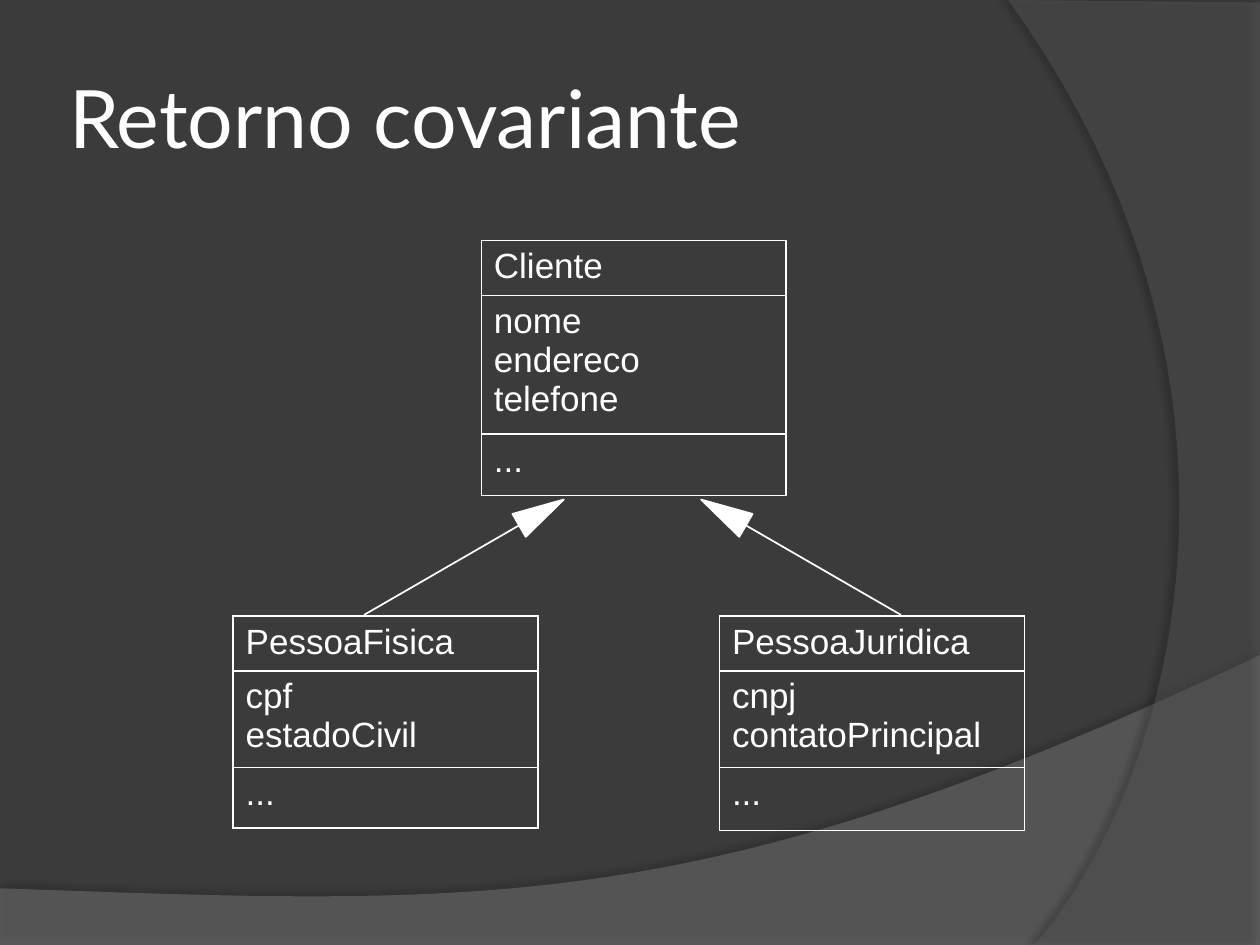
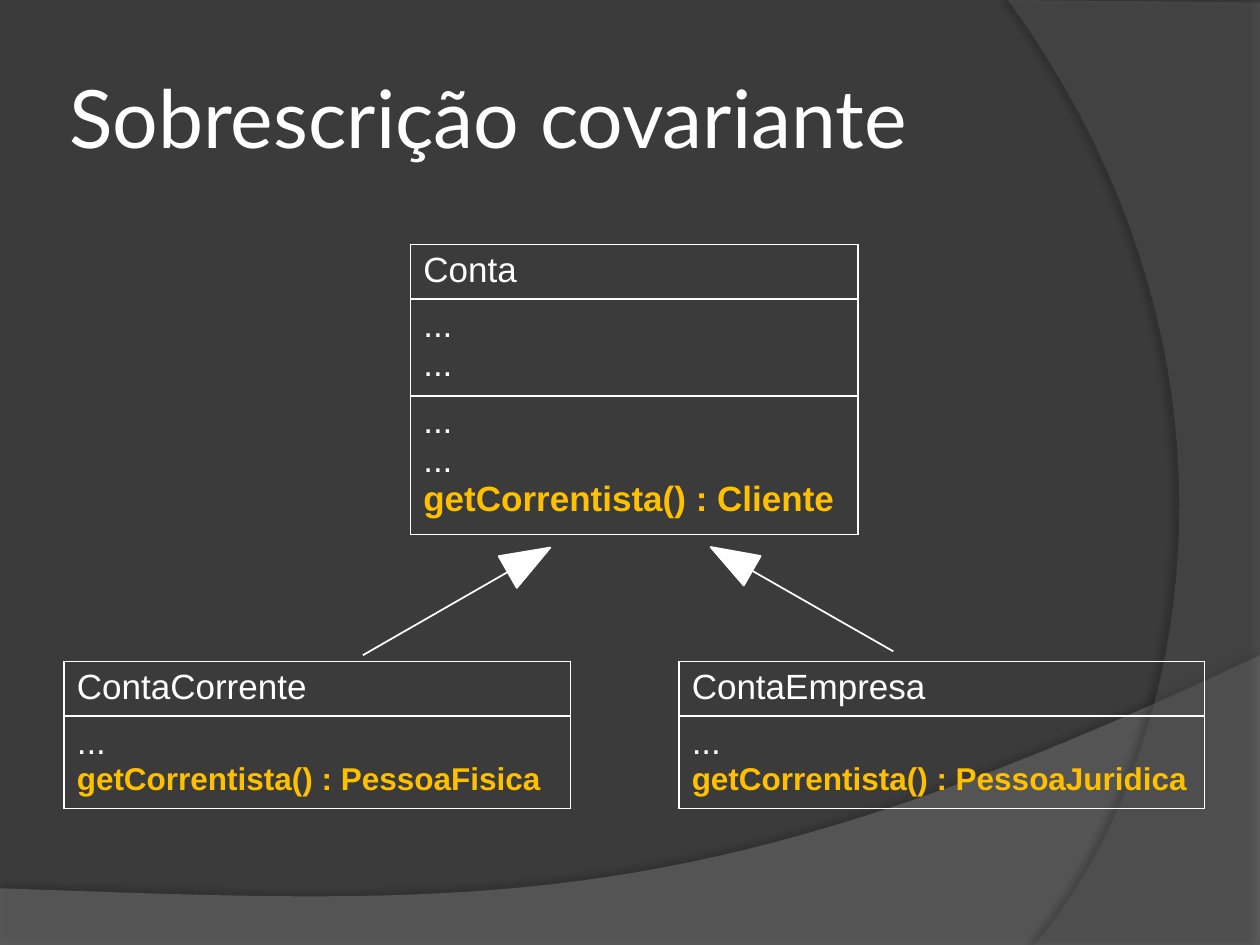
from math import atan2, cos, degrees, sin

from lxml.etree import SubElement
from pptx import Presentation
from pptx.dml.color import RGBColor
from pptx.enum.shapes import MSO_CONNECTOR, MSO_SHAPE
from pptx.enum.text import MSO_ANCHOR
from pptx.oxml import parse_xml
from pptx.oxml.ns import nsdecls, qn
from pptx.util import Inches, Pt

BACKGROUND, WHITE, GOLD = "3B3B3B", "FFFFFF", "FFC000"
BOTTOM_BAND, SIDE_BAND = "7F7F7F", "5E5E5E"
HEADER_HEIGHT = 0.41


def rgb(value):
    """Return the colour for a hex string."""
    return RGBColor.from_string(value)


def add_run(p, text, size, font, color=WHITE, bold=False):
    """Add one formatted run to a paragraph."""
    r = p.add_run()
    r.text = text
    r.font.size = Pt(size)
    r.font.name = font
    r.font.bold = bold
    r.font.color.rgb = rgb(color)


def curve(start, c1, c2, end, steps=40):
    """Return points along a cubic curve, without its start."""
    points = []
    for i in range(1, steps + 1):
        t = i / steps
        u = 1 - t
        weights = (u**3, 3 * u * u * t, 3 * u * t * t, t**3)
        points.append(tuple(
            sum(w * pt[axis] for w, pt in zip(weights, (start, c1, c2, end)))
            for axis in (0, 1)))
    return points


def add_band(s, points, color, alpha, shadow_alpha, distance, direction):
    """Draw a translucent curved band with a soft shadow."""
    emu = [(Inches(x), Inches(y)) for x, y in points]
    builder = s.shapes.build_freeform(*emu[0])
    builder.add_line_segments(emu[1:], close=True)
    sp = builder.convert_to_shape()
    sp.fill.solid()
    sp.fill.fore_color.rgb = rgb(color)
    sp.line.fill.background()
    fill_color = sp.fill._xPr.find(qn("a:solidFill"))[0]
    SubElement(fill_color, qn("a:alpha"), val=str(alpha * 1000))
    sp._element.spPr.append(parse_xml(
        f'<a:effectLst {nsdecls("a")}><a:outerShdw blurRad="{Pt(4)}" '
        f'dist="{Pt(distance)}" dir="{direction * 60000}" rotWithShape="0">'
        f'<a:srgbClr val="000000"><a:alpha val="{shadow_alpha * 1000}"/>'
        '</a:srgbClr></a:outerShdw></a:effectLst>'))


def add_slide(prs, title):
    """Add a slide with the shared bands and title."""
    s = prs.slides.add_slide(prs.slide_layouts[6])
    bottom = [(0, 7.05), (0, 7.5), (10, 7.5), (10, 5.2)]
    bottom += curve((10, 5.2), (5.59, 7.29), (3.91, 7.19), (0, 7.05))
    side = [(10, 0.02), (10, 7.5), (8.21, 7.5)]
    side += curve((8.21, 7.5), (9.35, 6.19), (10.18, 3), (8, 0))
    add_band(s, bottom, BOTTOM_BAND, 45, 35, 3.5, 270)
    add_band(s, side, SIDE_BAND, 40, 45, 4, 180)
    box = s.shapes.add_textbox(Inches(0.5), Inches(0.3), Inches(8.17), Inches(1.25))
    tf = box.text_frame
    tf.word_wrap = True
    tf.vertical_anchor = MSO_ANCHOR.MIDDLE
    tf.margin_left = tf.margin_right = tf.margin_top = tf.margin_bottom = Inches(0.05)
    add_run(tf.paragraphs[0], title, 46, "Lato")
    return s


def outline_cell(cell):
    """Clear a cell's fill and give it white borders."""
    cell.fill.background()
    tc_pr = cell._tc.get_or_add_tcPr()
    for i, side in enumerate("LRTB"):
        tc_pr.insert(i, parse_xml(
            f'<a:ln{side} {nsdecls("a")} w="{Pt(1)}"><a:solidFill>'
            f'<a:srgbClr val="{WHITE}"/></a:solidFill></a:ln{side}>'))


def add_class(s, left, top, width, name, *sections, method_size=20):
    """Draw a class table; each section is a height and its lines."""
    rows = [(HEADER_HEIGHT, [name]), *sections]
    height = sum(h for h, lines in rows)
    frame = s.shapes.add_table(len(rows), 1, Inches(left), Inches(top),
                               Inches(width), Inches(height))
    table = frame.table
    table.first_row = table.horz_banding = False
    for i, (row_height, lines) in enumerate(rows):
        table.rows[i].height = Inches(row_height)
        cell = table.cell(i, 0)
        outline_cell(cell)
        tf = cell.text_frame
        for j, line in enumerate(lines):
            p = tf.add_paragraph() if j else tf.paragraphs[0]
            if "()" in line:
                add_run(p, line, method_size, "Arial", GOLD, True)
            else:
                add_run(p, line, 20, "Arial")


def add_inheritance(s, tail, neck, head_width, head_length):
    """Draw a line from tail to neck, ending in a solid triangle."""
    line = s.shapes.add_connector(MSO_CONNECTOR.STRAIGHT,
                                  *map(Inches, (*tail, *neck)))
    SubElement(line._element.spPr, qn("a:effectLst"))
    angle = atan2(neck[0] - tail[0], tail[1] - neck[1])
    x = neck[0] + head_length / 2 * sin(angle)
    y = neck[1] - head_length / 2 * cos(angle)
    head = s.shapes.add_shape(
        MSO_SHAPE.ISOSCELES_TRIANGLE, Inches(x - head_width / 2),
        Inches(y - head_length / 2), Inches(head_width), Inches(head_length))
    head.rotation = degrees(angle)
    head.shadow.inherit = False
    head.fill.solid()
    head.fill.fore_color.rgb = rgb(WHITE)
    for sp in (line, head):
        sp.line.color.rgb = rgb(WHITE)
        sp.line.width = Pt(1)


def add_client_slide(prs):
    """Build the client hierarchy."""
    s = add_slide(prs, "Retorno covariante")
    add_class(s, 3.82, 1.91, 2.42, "Cliente",
              (1.03, ["nome", "endereco", "telefone"]), (0.49, ["..."]))
    add_class(s, 5.71, 4.89, 2.42, "PessoaJuridica",
              (0.72, ["cnpj", "contatoPrincipal"]), (0.5, ["..."]))
    add_class(s, 1.85, 4.89, 2.42, "PessoaFisica",
              (0.72, ["cpf", "estadoCivil"]), (0.48, ["..."]))
    add_inheritance(s, (2.89, 4.88), (4.12, 4.17), 0.21, 0.41)
    add_inheritance(s, (7.15, 4.88), (5.92, 4.17), 0.21, 0.41)


def add_account_slide(prs):
    """Build the account hierarchy."""
    s = add_slide(prs, "Sobrescrição covariante")
    add_class(s, 3.26, 1.94, 3.55, "Conta", (0.76, ["...", "..."]),
              (1.03, ["...", "...", "getCorrentista() : Cliente"]))
    for left, width, name, client in (
            (5.39, 4.17, "ContaEmpresa", "PessoaJuridica"),
            (0.51, 4.02, "ContaCorrente", "PessoaFisica")):
        add_class(s, left, 5.25, width, name,
                  (0.69, ["...", f"getCorrentista() : {client}"]), method_size=18)
    add_inheritance(s, (7.09, 5.17), (5.97, 4.53), 0.27, 0.38)
    add_inheritance(s, (2.88, 5.2), (4.03, 4.54), 0.29, 0.39)


def main():
    """Build and save the presentation."""
    prs = Presentation()
    prs.slide_width, prs.slide_height = Inches(10), Inches(7.5)
    fill = prs.slide_master.background.fill
    fill.solid()
    fill.fore_color.rgb = rgb(BACKGROUND)
    add_client_slide(prs)
    add_account_slide(prs)
    prs.save("out.pptx")


if __name__ == "__main__":
    main()
